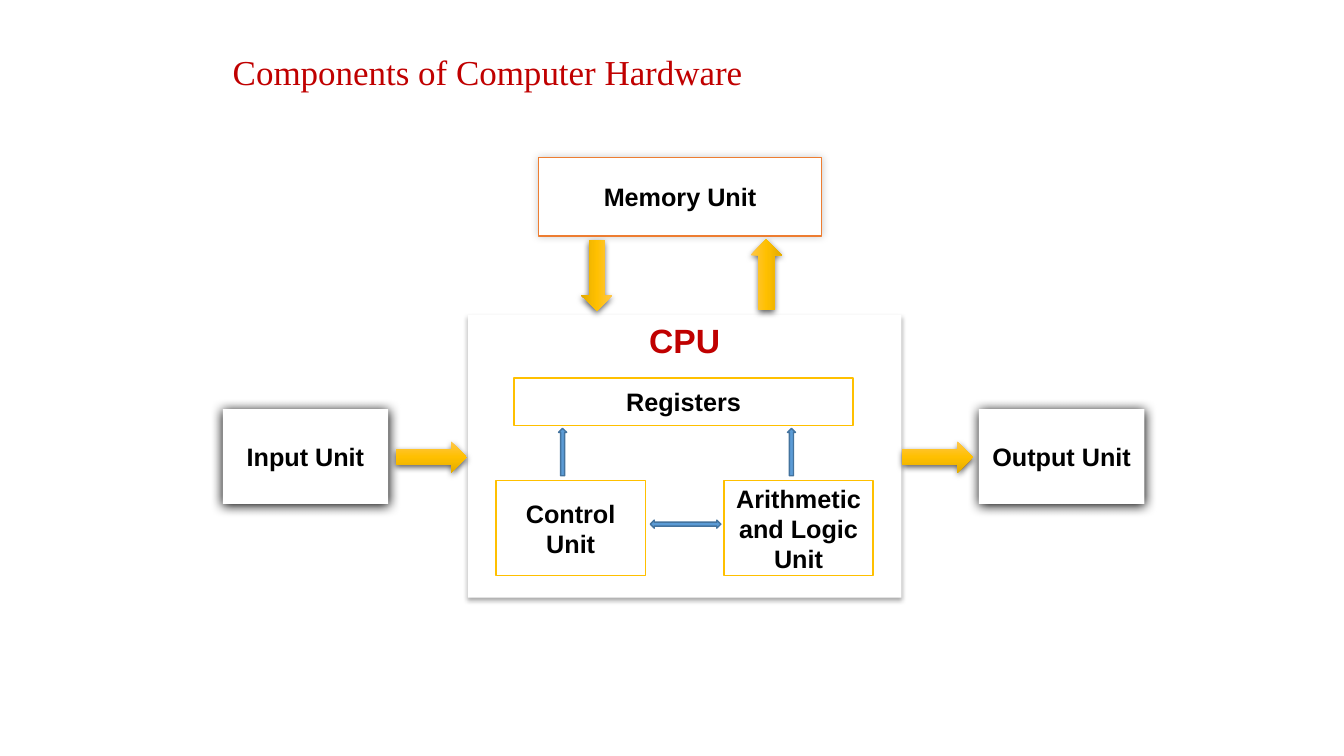
from dataclasses import dataclass

from lxml import etree
from pptx import Presentation
from pptx.dml.color import RGBColor
from pptx.enum.shapes import MSO_SHAPE
from pptx.enum.text import MSO_ANCHOR, PP_ALIGN
from pptx.oxml import parse_xml
from pptx.oxml.ns import nsdecls, qn
from pptx.util import Emu, Pt

PX = 9144  # 100 px to the inch


@dataclass(frozen=True)
class Theme:
    title_font: str = "Times New Roman"
    body_font: str = "Arial"
    title_size: int = 25
    cpu_size: int = 24
    label_size: int = 18
    red: str = "C00000"
    black: str = "000000"
    white: str = "FFFFFF"
    gold: str = "FFC000"
    orange: str = "ED7D31"
    blue: str = "5B9BD5"
    blue_line: str = "43739E"
    gold_stops: tuple = ((0, "FFC64B"), (50, "FFC000"), (100, "E3AB00"))
    # shadows: opacity %, blur pt, distance pt, direction in degrees
    cpu_shadow: tuple = (32, 3.5, 2.2, 90)
    unit_shadow: tuple = (100, 8.5, 1, 90)
    memory_shadow: tuple = (20, 6, 0, 225)
    arrow_shadow: tuple = (63, 4.5, 1.5, 90)


T = Theme()


def px(*values):
    return [Emu(v * PX) for v in values]


def add_shadow(sp, opacity, blur, dist, angle):
    effects = sp._element.spPr.find(qn("a:effectLst"))
    shadow = etree.SubElement(effects, qn("a:outerShdw"), blurRad=str(Pt(blur)),
                              dist=str(Pt(dist)), dir=str(angle * 60000),
                              algn="ctr", rotWithShape="0")
    color = etree.SubElement(shadow, qn("a:srgbClr"), val=T.black)
    etree.SubElement(color, qn("a:alpha"), val=str(opacity * 1000))


def fill_gold_gradient(sp):
    stops = "".join(f'<a:gs pos="{pos * 1000}"><a:srgbClr val="{color}"/></a:gs>'
                    for pos, color in T.gold_stops)
    sp.fill.gradient()
    old = sp._element.spPr.find(qn("a:gradFill"))
    old.getparent().replace(old, parse_xml(
        f'<a:gradFill {nsdecls("a")} rotWithShape="1"><a:gsLst>{stops}</a:gsLst>'
        '<a:lin ang="5400000" scaled="0"/></a:gradFill>'))


def add_preset(shapes, kind, box, fill=None, line=None, shadow=None):
    """Add a preset shape; without a fill colour it gets the gold gradient."""
    sp = shapes.add_shape(kind, *px(*box))
    sp.shadow.inherit = False
    if fill:
        sp.fill.solid()
        sp.fill.fore_color.rgb = RGBColor.from_string(fill)
    else:
        fill_gold_gradient(sp)
    if line:
        sp.line.color.rgb = RGBColor.from_string(line)
        sp.line.width = Pt(1)
    else:
        sp.line.fill.background()
    if shadow:
        add_shadow(sp, *shadow)
    return sp


def write(sp, text, size, color, font=T.body_font, bold=True,
          align=PP_ALIGN.CENTER, anchor=MSO_ANCHOR.MIDDLE):
    tf = sp.text_frame
    tf.word_wrap = True
    tf.vertical_anchor = anchor
    tf.text = text
    p = tf.paragraphs[0]
    p.alignment = align
    f = p.runs[0].font
    f.name, f.size, f.bold = font, Pt(size), bold
    f.color.rgb = RGBColor.from_string(color)
    return p


def add_unit(shapes, text, box, line=None, shadow=None):
    sp = add_preset(shapes, MSO_SHAPE.RECTANGLE, box, T.white, line, shadow)
    write(sp, text, T.label_size, T.black)


def add_gold_arrow(shapes, x, y, rotation=0):
    sp = add_preset(shapes, MSO_SHAPE.RIGHT_ARROW, (x, y, 70, 31),
                    shadow=T.arrow_shadow)
    sp.rotation = rotation


def add_title(shapes, box):
    tb = shapes.add_textbox(*px(*box))
    p = write(tb, "Components of Computer Hardware", T.title_size, T.red,
              T.title_font, False, PP_ALIGN.LEFT)
    p.line_spacing = 0.9


def add_cpu(shapes, x, y, w, h):
    group = shapes.add_group_shape().shapes
    sp = add_preset(group, MSO_SHAPE.RECTANGLE, (x, y, w, h), T.white,
                    shadow=T.cpu_shadow)
    write(sp, "CPU", T.cpu_size, T.red, anchor=MSO_ANCHOR.TOP)
    units = (("Registers", 46, 63, 336, 47),
             ("Control Unit", 28, 165, 148, 94),
             ("Arithmetic and Logic Unit", 254, 165, 148, 94))
    for text, dx, dy, uw, uh in units:
        add_unit(group, text, (x + dx, y + dy, uw, uh), T.gold)
    arrows = ((MSO_SHAPE.UP_ARROW, 90, 113, 8, 47),
              (MSO_SHAPE.UP_ARROW, 317, 113, 8, 47),
              (MSO_SHAPE.LEFT_RIGHT_ARROW, 181, 204, 70, 8))
    for kind, dx, dy, aw, ah in arrows:
        add_preset(group, kind, (x + dx, y + dy, aw, ah), T.blue, T.blue_line)


def add_input_output(shapes, x, y, w, h):
    """Place the two outer units at the ends of the box, with their arrows."""
    unit_w = 164
    for text, left in (("Input Unit", x), ("Output Unit", x + w - unit_w)):
        add_unit(shapes, text, (left, y, unit_w, h), shadow=T.unit_shadow)
    for left in (x + 172, x + 674):
        add_gold_arrow(shapes, left, y + 32)


def add_memory(shapes, x, y, w, h):
    add_unit(shapes, "Memory Unit", (x, y, w, h), T.orange, T.memory_shadow)
    add_gold_arrow(shapes, x + 23, y + h + 24, 90)
    add_gold_arrow(shapes, x + 191, y + h + 23, 270)


def main():
    prs = Presentation()
    prs.slide_width, prs.slide_height = px(1333, 750)
    shapes = prs.slides.add_slide(prs.slide_layouts[6]).shapes
    add_title(shapes, (221, 38, 539, 72))
    add_cpu(shapes, 464, 312, 430, 281)
    add_input_output(shapes, 221, 406, 914, 94)
    add_memory(shapes, 534, 156, 281, 78)
    prs.save("out.pptx")


if __name__ == "__main__":
    main()
